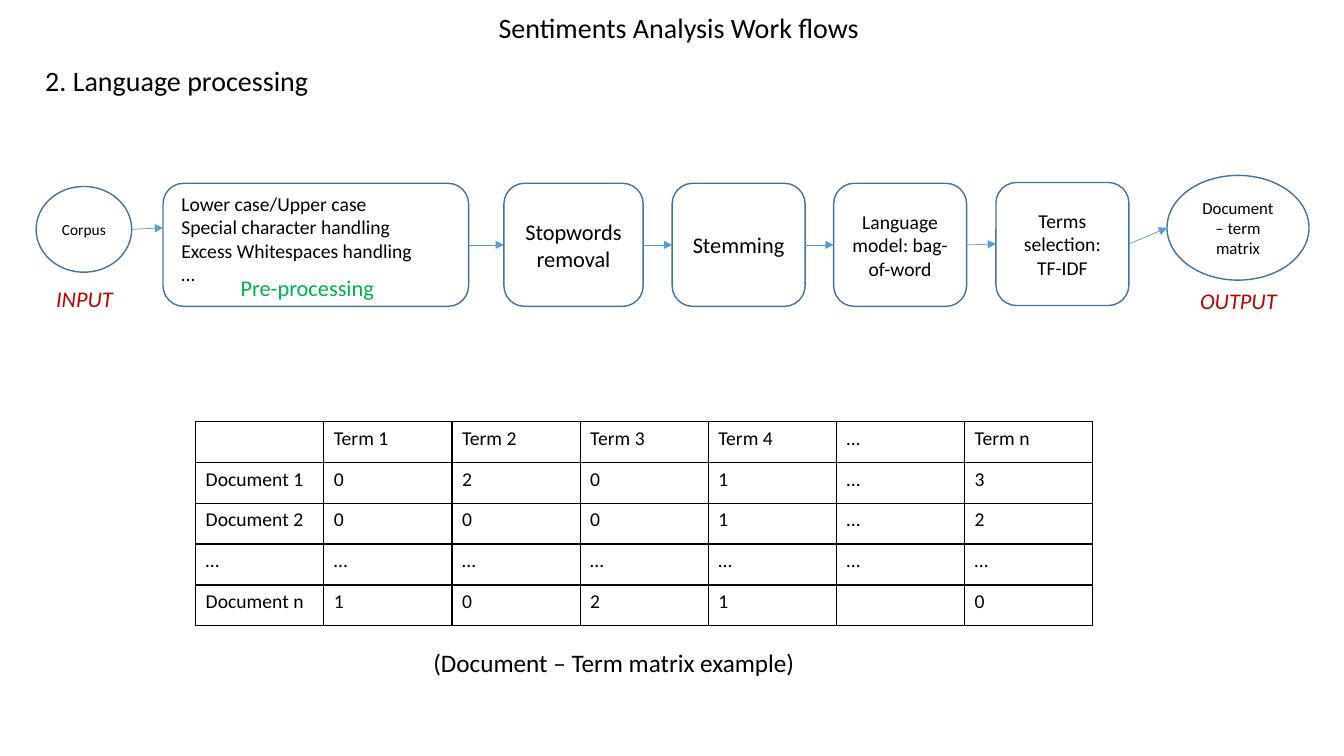
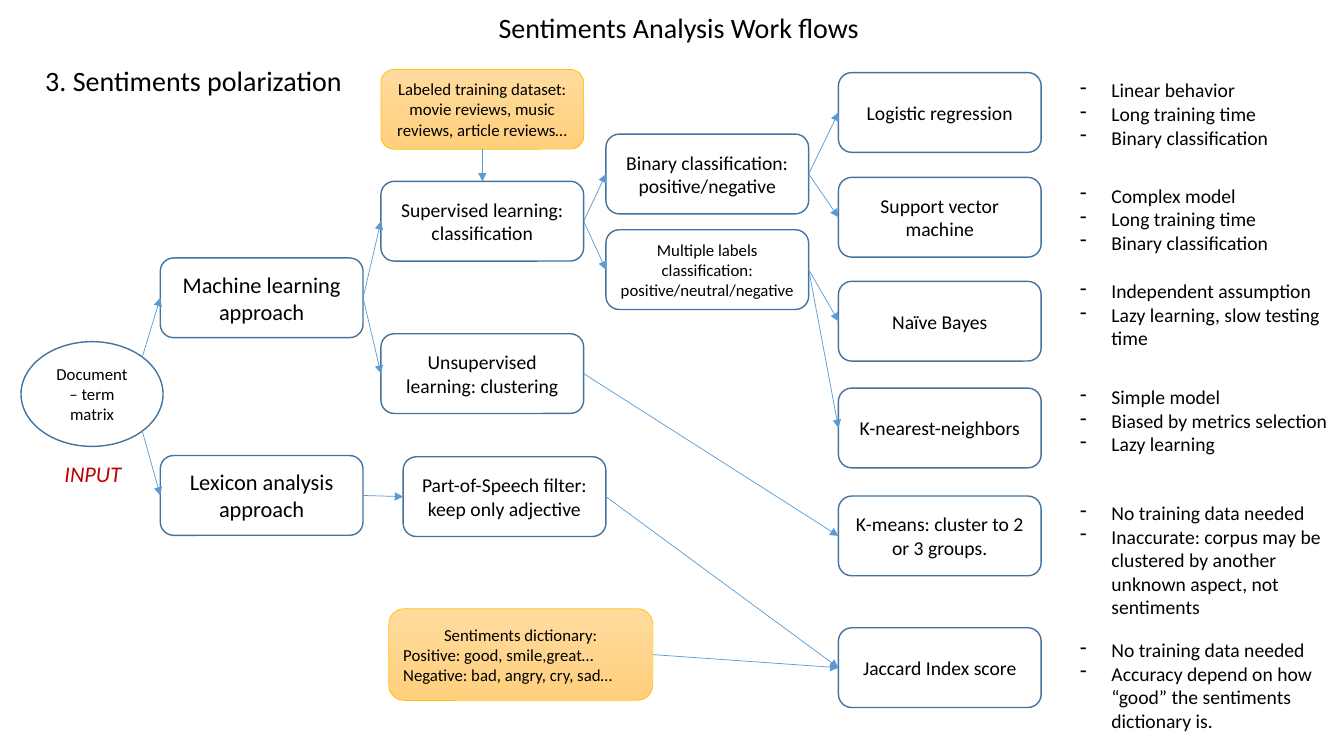
import math

from lxml import etree
from pptx import Presentation
from pptx import util as u
from pptx.dml.color import RGBColor
from pptx.enum import shapes, text
from pptx.oxml import ns

BLACK, RED, GREEN = "000000", "C00000", "00B050"
OUTLINE, ARROW, GOLD = "43739E", "5B9BD5", "FFC000"
GOLD_TOP, GOLD_BOTTOM = "FFDB9E", "FFD07C"
RIGHT, LOWER_RIGHT, BOTTOM, LEFT, TOP, UPPER_RIGHT = 0, 45, 90, 180, 270, 315
ELLIPSE = shapes.MSO_SHAPE.OVAL
BOX = shapes.MSO_SHAPE.ROUNDED_RECTANGLE
CENTER, START = text.PP_ALIGN.CENTER, text.PP_ALIGN.LEFT


def rgb(value):
    """Turn a hex string into a colour."""
    return RGBColor.from_string(value)


def sub(parent, tag, **attrs):
    """Append a DrawingML element and return it."""
    return etree.SubElement(parent, ns.qn(tag), attrs)


class Deck:
    """Hold the shared style and the current slide."""

    font = "Calibri"

    def __init__(self):
        """Start a widescreen presentation."""
        self.prs = Presentation()
        self.prs.slide_width, self.prs.slide_height = u.Cm(33.87), u.Cm(19.05)
        self.s = None

    def slide(self, heading):
        """Add a slide with the common title and its own heading."""
        self.s = self.prs.slides.add_slide(self.prs.slide_layouts[6])
        self.label("Sentiments Analysis Work flows", 2.13, 0.15, 29.95, 1.12, 20, CENTER)
        self.label(heading, 0.89, 1.47, 29.95, 1.12, 20)

    def set_text(self, tf, words, size, align, color=BLACK, italic=None, bullet=None):
        """Fill a text frame, one paragraph per line."""
        tf.word_wrap = True
        for i, line in enumerate(words.split("\n")):
            p = tf.paragraphs[0] if i == 0 else tf.add_paragraph()
            p.text, p.alignment = line, align
            if bullet:
                pPr = p._p.get_or_add_pPr()
                pPr.set("marL", str(u.Cm(0.79)))
                pPr.set("indent", str(u.Cm(-0.79)))
                sub(pPr, "a:buChar", char=bullet)
            p.font.name, p.font.size = self.font, u.Pt(size)
            p.font.italic = italic
            p.font.color.rgb = rgb(color)

    def label(self, words, x, y, w, h, size, align=START, **style):
        """Add a text box."""
        tf = self.s.shapes.add_textbox(u.Cm(x), u.Cm(y), u.Cm(w), u.Cm(h)).text_frame
        self.set_text(tf, words, size, align, **style)
        tf.auto_size = text.MSO_AUTO_SIZE.SHAPE_TO_FIT_TEXT

    def endpoint(self, words, x, y):
        """Mark where the flow starts or ends."""
        self.label(words, x, y, 3.4, 0.94, 16, CENTER, color=RED, italic=True)

    def node(self, words, x, y, w=5.11, h=2.01, size=14, kind=BOX, gold=False):
        """Add an outlined box or ellipse with centred text."""
        sp = self.s.shapes.add_shape(kind, u.Cm(x), u.Cm(y), u.Cm(w), u.Cm(h))
        sp.shadow.inherit = False
        sp.line.color.rgb = rgb(GOLD if gold else OUTLINE)
        sp.line.width = u.Pt(0.5 if gold else 1)
        if gold:
            sp.fill.gradient()
            sp.fill.gradient_angle = 270
            for stop, color in zip(sp.fill.gradient_stops, (GOLD_TOP, GOLD_BOTTOM)):
                stop.color.rgb = rgb(color)
        else:
            sp.fill.background()
        sp.text_frame.vertical_anchor = text.MSO_ANCHOR.MIDDLE
        if words:
            self.set_text(sp.text_frame, words, size, CENTER)
        return sp

    def matrix_node(self, x, y):
        """Add the document-term matrix ellipse."""
        return self.node("Document – term matrix", x, y, 3.58, 2.64, 12, ELLIPSE)

    def arrow(self, start, end):
        """Draw a thin arrow between two points."""
        cxn = self.s.shapes.add_connector(shapes.MSO_CONNECTOR.STRAIGHT, *start, *end)
        cxn.line.color.rgb, cxn.line.width = rgb(ARROW), u.Pt(0.5)
        spPr = cxn._element.spPr
        sub(spPr.find(ns.qn("a:ln")), "a:tailEnd", type="triangle")
        sub(spPr, "a:effectLst")
        return cxn

    def site(self, sp, angle):
        """Return the point on a node's edge at a clockwise angle."""
        a = math.radians(angle)
        return (round(sp.left + sp.width * (1 + math.cos(a)) / 2),
                round(sp.top + sp.height * (1 + math.sin(a)) / 2))

    def connect(self, a, b, start=RIGHT, end=LEFT):
        """Join two nodes with an attached arrow."""
        cxn = self.arrow(self.site(a, start), self.site(b, end))
        props = cxn._element.nvCxnSpPr.cNvCxnSpPr
        for tag, sp, angle in (("a:stCxn", a, start), ("a:endCxn", b, end)):
            step = 45 if sp.auto_shape_type == ELLIPSE else 90
            sub(props, tag, id=str(sp.shape_id), idx=str((TOP - angle) % 360 // step))

    def table(self, rows, x, y, col_w, row_h):
        """Add a plain table with black borders."""
        n_rows, n_cols = len(rows), len(rows[0])
        tbl = self.s.shapes.add_table(n_rows, n_cols, u.Cm(x), u.Cm(y),
                                      u.Cm(col_w * n_cols), u.Cm(row_h * n_rows)).table
        tbl.first_row = tbl.horz_banding = False
        for cell, words in zip(tbl.iter_cells(), sum(rows, [])):
            self.set_text(cell.text_frame, words, 14, START)
            tcPr = cell._tc.get_or_add_tcPr()
            for side in "LRTB":
                ln = sub(tcPr, "a:ln" + side, w=str(u.Pt(1)))
                sub(sub(ln, "a:solidFill"), "a:srgbClr", val=BLACK)
            cell.fill.background()


def language_processing(d):
    """Build the processing chain and the matrix example."""
    d.slide("2. Language processing")
    corpus = d.node("Corpus", 0.91, 4.7, 2.41, 2.16, 11, ELLIPSE)
    d.endpoint("INPUT", 0.43, 7.06)
    cleaning = d.node("", 4.11, 4.62, 7.7, 3.1)
    d.label("Pre-processing", 4.39, 6.78, 6.71, 0.94, 16, CENTER, color=GREEN)
    d.label("Lower case/Upper case\nSpecial character handling\n"
            "Excess Whitespaces handling\n…", 4.32, 4.7, 7.47, 2.64, 14)
    steps = [
        ("Stopwords removal", 12.7, 4.62, 3.51, 16),
        ("Stemming", 16.94, 4.62, 3.35, 16),
        ("Language model: bag-of-word", 21.01, 4.62, 3.35, 14),
        ("Terms selection: TF-IDF", 25.1, 4.6, 3.35, 14),
    ]
    chain = [cleaning] + [d.node(words, x, y, w, 3.1, size) for words, x, y, w, size in steps]
    chain.append(d.matrix_node(29.41, 4.42))
    d.endpoint("OUTPUT", 29.51, 7.11)
    d.arrow(d.site(corpus, RIGHT), (cleaning.left, u.Cm(5.74)))
    for a, b in zip(chain, chain[1:]):
        d.connect(a, b)
    d.table([
        ["", "Term 1", "Term 2", "Term 3", "Term 4", "…", "Term n"],
        ["Document 1", "0", "2", "0", "1", "…", "3"],
        ["Document 2", "0", "0", "0", "1", "…", "2"],
        ["…"] * 7,
        ["Document n", "1", "0", "2", "1", "", "0"],
    ], 4.93, 10.62, 3.23, 1.03)
    d.label("(Document – Term matrix example)", 10.67, 16.18, 9.63, 1.02, 18)


def sentiments_polarization(d):
    """Build the tree of approaches with notes on each method."""
    d.slide("3. Sentiments polarization")
    approach_x, learning_x, labels_x, method_x, note_x = 4.04, 9.6, 15.27, 21.13, 26.97
    matrix = d.matrix_node(0.53, 8.61)
    d.endpoint("INPUT", 0.64, 11.48)
    machine = d.node("Machine learning approach", approach_x, 6.5, size=16)
    lexicon = d.node("Lexicon analysis approach", approach_x, 11.48, size=16)
    training = d.node("Labeled training dataset: movie reviews, music reviews, article reviews…",
                      learning_x, 1.75, size=12, gold=True)
    supervised = d.node("Supervised learning: classification", learning_x, 4.57)
    unsupervised = d.node("Unsupervised learning: clustering", learning_x, 8.41)
    speech = d.node("Part-of-Speech filter: keep only adjective", 10.16, 11.51)
    dictionary = d.node("Sentiments dictionary:\nPositive: good, smile,great…\n"
                        "Negative: bad, angry, cry, sad…", 9.8, 15.34, 6.65, 2.31, 12, gold=True)
    for p in dictionary.text_frame.paragraphs[1:]:
        p.alignment = START
    binary = d.node("Binary classification: positive/negative", labels_x, 3.38)
    multiple = d.node("Multiple labels classification: positive/neutral/negative",
                      labels_x, 5.79, size=12)
    methods = [
        ("Logistic regression", 1.83, 1.85, 5.33, 2.06,
         "Linear behavior\nLong training time\nBinary classification"),
        ("Support vector machine", 4.47, 4.5, 5.33, 2.06,
         "Complex model\nLong training time\nBinary classification"),
        ("Naïve Bayes", 7.09, 6.91, 6.88, 2.06,
         "Independent assumption\nLazy learning, slow testing time"),
        ("K-nearest-neighbors", 9.78, 9.58, 6.88, 2.06,
         "Simple model\nBiased by metrics selection\nLazy learning"),
        ("K-means: cluster to 2 or 3 groups.", 12.5, 12.5, 6.88, 3.25,
         "No training data needed\nInaccurate: corpus may be clustered by another "
         "unknown aspect, not sentiments"),
        ("Jaccard Index score", 15.82, 15.95, 6.88, 2.64,
         "No training data needed\nAccuracy depend on how “good” the sentiments dictionary is."),
    ]
    nodes = []
    for name, y, note_y, note_w, note_h, notes in methods:
        nodes.append(d.node(name, method_x, y))
        d.label(notes, note_x, note_y, note_w, note_h, 14, bullet="-")
    logistic, vector, bayes, neighbors, means, jaccard = nodes

    d.connect(matrix, machine, UPPER_RIGHT)
    d.connect(matrix, lexicon, LOWER_RIGHT)
    d.connect(training, supervised, BOTTOM, TOP)
    branches = [
        (machine, (supervised, unsupervised)),
        (supervised, (binary, multiple)),
        (binary, (logistic, vector)),
        (multiple, (bayes, neighbors)),
        (unsupervised, (means,)),
        (lexicon, (speech,)),
        (speech, (jaccard,)),
        (dictionary, (jaccard,)),
    ]
    for parent, children in branches:
        for child in children:
            d.connect(parent, child)


deck = Deck()
language_processing(deck)
sentiments_polarization(deck)
deck.prs.save("out.pptx")
